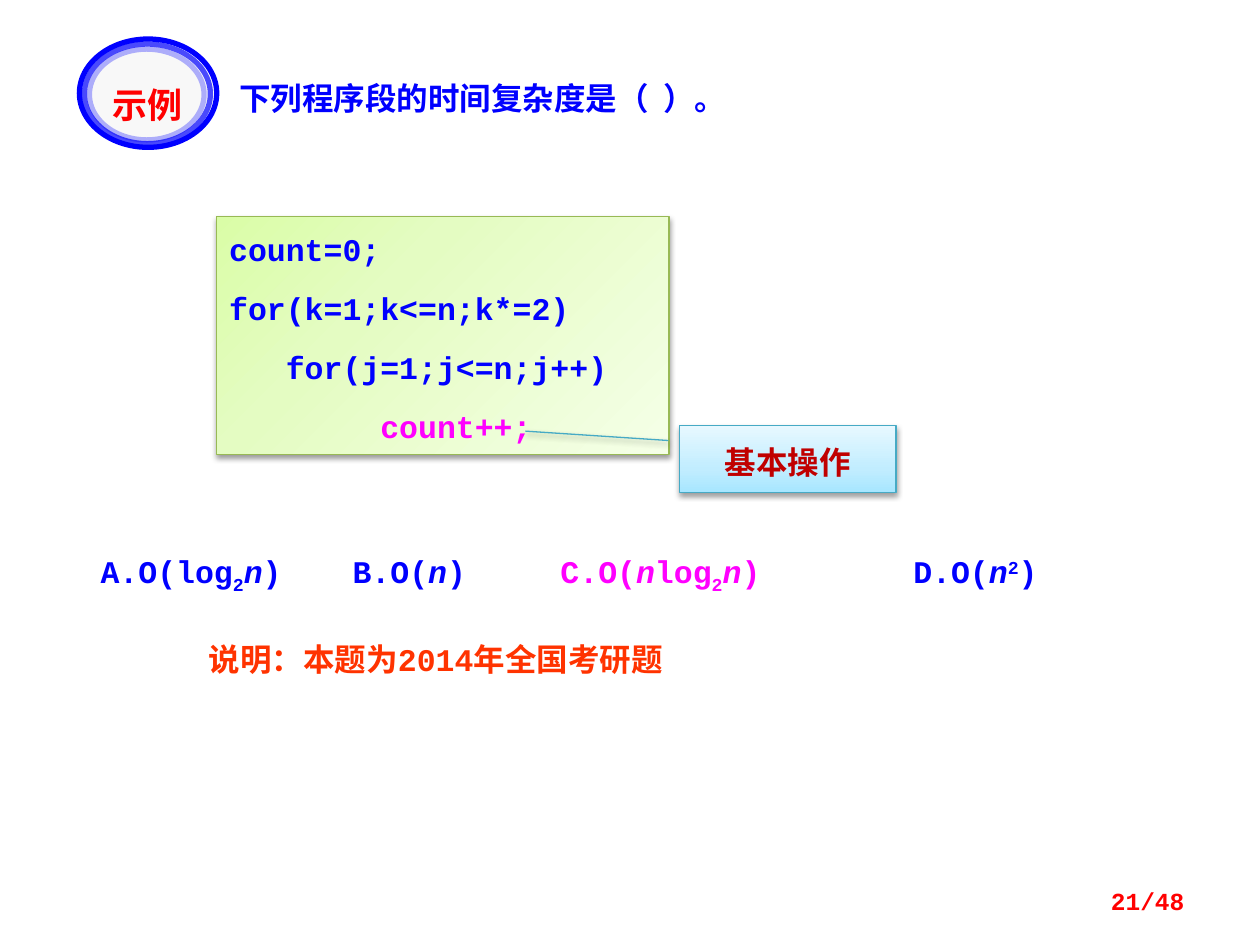
from lxml import etree
from pptx import Presentation
from pptx.dml.color import RGBColor
from pptx.enum.shapes import MSO_SHAPE as Shape
from pptx.enum.text import MSO_ANCHOR as Anchor, PP_ALIGN as Align
from pptx.oxml import parse_xml
from pptx.oxml.ns import nsdecls, qn
from pptx.util import Inches, Pt

COLORS = {
    "blue": "0000FF", "magenta": "FF00FF", "orange": "FF3300", "red": "FF0000",
    "dark red": "C00000", "badge": "F8F8F8", "code line": "98B955", "callout line": "46AAC5",
}
CODE_GRADIENT = [(0, "DAFDA7"), (35, "E4FCC2"), (100, "F5FFE7")]
CALLOUT_GRADIENT = [(0, "A7E6FF"), (35, "C1EDFF"), (100, "E7F8FF")]
MONO, CJK = "Courier New", "Noto Sans CJK JP"


def write(shape, lines, color="blue", size=18, font=MONO, align=Align.LEFT,
          anchor=Anchor.TOP, spacing=1.1, tabs=()):
    frame = shape.text_frame
    frame.word_wrap = True
    frame.vertical_anchor = anchor
    for index, runs in enumerate(lines):
        paragraph = frame.add_paragraph() if index else frame.paragraphs[0]
        paragraph.alignment = align
        paragraph.line_spacing = spacing
        paragraph.space_before = Pt(10 if index else 0)
        if tabs:
            tab_list = etree.SubElement(paragraph._p.get_or_add_pPr(), qn("a:tabLst"))
            for position in tabs:
                etree.SubElement(tab_list, qn("a:tab"), pos=str(Inches(position)), algn="l")
        for text, style in runs:
            run = paragraph.add_run()
            run.text = text
            values = {"name": font, "size": Pt(size), "bold": True, "italic": style.get("italic")}
            for name, value in values.items():
                setattr(run.font, name, value)
            run.font.color.rgb = RGBColor.from_string(COLORS[style.get("color", color)])
            properties = run._r.get_or_add_rPr()
            etree.SubElement(properties, qn("a:ea"), typeface=CJK)
            if "baseline" in style:
                properties.set("baseline", str(style["baseline"] * 1000))


def decorate(shape, stops, angle, line):
    shape.fill.gradient()
    shape.fill.gradient_angle = 360 - angle
    stop_list = shape._element.spPr.find(qn("a:gradFill")).find(qn("a:gsLst"))
    for old_stop in list(stop_list):
        stop_list.remove(old_stop)
    for position, color in stops:
        stop = etree.SubElement(stop_list, qn("a:gs"), pos=str(position * 1000))
        etree.SubElement(stop, qn("a:srgbClr"), val=color)
    shape.line.color.rgb = RGBColor.from_string(COLORS[line])
    shape.line.width = Pt(0.75)
    shape._element.spPr.append(parse_xml(
        f'<a:effectLst {nsdecls("a")}><a:outerShdw blurRad="40000" dist="20000" dir="5400000" '
        'rotWithShape="0"><a:srgbClr val="000000"><a:alpha val="38000"/></a:srgbClr>'
        '</a:outerShdw></a:effectLst>'))


presentation = Presentation()
presentation.slide_width = Inches(10)
presentation.slide_height = Inches(7.5)
slide = presentation.slides.add_slide(presentation.slide_layouts[6])
shapes = slide.shapes

question = shapes.add_textbox(Inches(1.8), Inches(0.55), Inches(4.92), Inches(0.41))
write(question, [[("下列程序段的时间复杂度是（  ）。", {})]])

italic, subscript, superscript = {"italic": True}, {"baseline": -25}, {"baseline": 30}
magenta = {"color": "magenta"}
options = shapes.add_textbox(Inches(0.7), Inches(4.22), Inches(8.2), Inches(0.42))
options.text_frame.margin_top = Inches(0.13)
write(options, [[
    ("A.O(log", {}), ("2", subscript), ("n", italic), (")\t", {}),
    ("B.O(", {}), ("n", italic), (")\t", {}),
    ("C.O(", magenta), ("n", magenta | italic), ("log", magenta),
    ("2", magenta | subscript), ("n", magenta | italic), (")\t", magenta),
    ("D.O(", {}), ("n", italic), ("2", superscript), (")", {}),
]], tabs=(2, 3.65, 6.45))

code = shapes.add_shape(Shape.RECTANGLE, Inches(1.72), Inches(1.72), Inches(3.59), Inches(1.89))
decorate(code, CODE_GRADIENT, 45, "code line")
write(code, [
    [("count=0;", {})],
    [("for(k=1;k<=n;k*=2)", {})],
    [("   for(j=1;j<=n;j++)", {})],
    [("        ", {}), ("count++;", magenta)],
], anchor=Anchor.MIDDLE)

note = shapes.add_textbox(Inches(1.56), Inches(5), Inches(4.38), Inches(0.43))
write(note, [[("说明：本题为2014年全国考研题", {})]], color="orange")

callout = shapes.add_shape(Shape.LINE_CALLOUT_2, Inches(5.39), Inches(3.38), Inches(1.72), Inches(0.53))
for index, value in enumerate((0.22, -0.05, 0.22, -0.05, 0.08, -0.71)):
    callout.adjustments[index] = value
decorate(callout, CALLOUT_GRADIENT, 270, "callout line")
write(callout, [[("基本操作", {})]], color="dark red", font=CJK, align=Align.CENTER,
      anchor=Anchor.MIDDLE, spacing=Pt(25))

badge = shapes.add_group_shape()
for left, top, width, height, opacity in (
    (0.63, 0.31, 1.09, 0.86, 100),
    (0.67, 0.35, 1, 0.79, 70),
    (0.71, 0.39, 0.91, 0.72, 30),
):
    ring = badge.shapes.add_shape(Shape.OVAL, Inches(left), Inches(top), Inches(width), Inches(height))
    ring.shadow.inherit = False
    ring.line.color.rgb = RGBColor.from_string(COLORS["blue"])
    ring.line.width = Pt(3)
    if opacity == 100:
        ring.fill.solid()
        ring.fill.fore_color.rgb = RGBColor.from_string(COLORS["badge"])
    else:
        ring.fill.background()
        line_color = ring.line._ln.find(qn("a:solidFill")).find(qn("a:srgbClr"))
        etree.SubElement(line_color, qn("a:alpha"), val=str(opacity * 1000))
label = badge.shapes.add_textbox(Inches(0.69), Inches(0.58), Inches(0.96), Inches(0.39))
write(label, [[("示例", {})]], color="red", size=20, font=CJK, align=Align.CENTER)

page_number = shapes.add_textbox(Inches(7.17), Inches(6.95), Inches(2.33), Inches(0.4))
write(page_number, [[("21/48", {})]], color="red", size=14, align=Align.RIGHT,
      anchor=Anchor.MIDDLE, spacing=1.0)

presentation.save("out.pptx")
